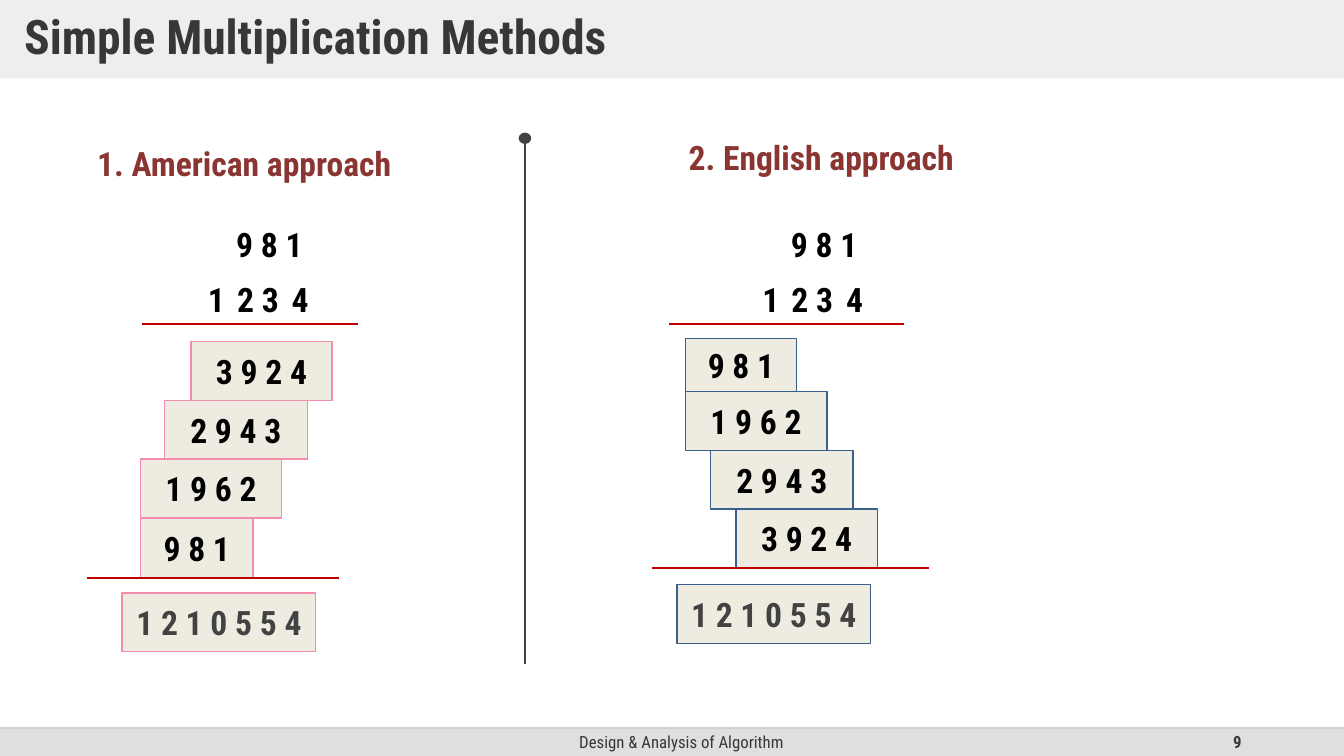
from lxml import etree
from pptx import Presentation
from pptx.dml.color import RGBColor
from pptx.enum import shapes, text
from pptx.oxml import ns
from pptx.util import Cm, Pt

FONT = "Roboto Condensed"
BLACK = RGBColor(0x00, 0x00, 0x00)
DARK = RGBColor(0x37, 0x37, 0x37)
GREY = RGBColor(0x42, 0x42, 0x42)
BAND = RGBColor(0xDF, 0xDF, 0xDF)
EDGE = RGBColor(0xBF, 0xBF, 0xBF)
CREAM = RGBColor(0xEE, 0xEC, 0xE1)
BROWN = RGBColor(0x8A, 0x35, 0x31)
RED = RGBColor(0xC0, 0x00, 0x00)
PINK = RGBColor(0xF4, 0x8C, 0xAF)
BLUE = RGBColor(0x3A, 0x5F, 0x8C)
WIDTH, HEIGHT = 33.87, 19.05

deck = Presentation()
deck.slide_width, deck.slide_height = Cm(WIDTH), Cm(HEIGHT)
page = deck.slides.add_slide(deck.slide_layouts[6])


def add_box(words, left, top, width, height, kind=None, fill=None, line=None,
            size=24, color=BLACK, bold=True, align=text.PP_ALIGN.CENTER,
            anchor=text.MSO_ANCHOR.MIDDLE, spacing=None, alpha=None,
            inset=(0.25, 0.13, 0.25, 0.13), parent=page.shapes):
    """Add a text box, or a filled preset shape when a kind is given."""
    place = Cm(left), Cm(top), Cm(width), Cm(height)
    if kind is None:
        box = parent.add_textbox(*place)
    else:
        box = parent.add_shape(kind, *place)
        box.shadow.inherit = False
        box.fill.solid()
        box.fill.fore_color.rgb = fill
        if line is None:
            box.line.fill.background()
        else:
            box.line.color.rgb = line
            box.line.width = Pt(1)
    if alpha:
        tint = box.fill._xPr.find(".//" + ns.qn("a:srgbClr"))
        etree.SubElement(tint, ns.qn("a:alpha"), val=str(alpha * 1000))
    if words:
        frame = box.text_frame
        frame.word_wrap = True
        frame.vertical_anchor = anchor
        (frame.margin_left, frame.margin_top,
         frame.margin_right, frame.margin_bottom) = [Cm(value) for value in inset]
        para = frame.paragraphs[0]
        para.alignment = align
        if spacing:
            para.line_spacing = spacing
        span = para.add_run()
        span.text = words
        span.font.name, span.font.size, span.font.bold = FONT, Pt(size), bold
        span.font.color.rgb = color
    return box


def add_line(start, end, color, weight=1.5, alpha=None, parent=page.shapes):
    line = parent.add_connector(shapes.MSO_CONNECTOR.STRAIGHT,
                                *[Cm(value) for value in (*start, *end)])
    line.line.color.rgb = color
    line.line.width = Pt(weight)
    properties = line._element.spPr
    etree.SubElement(properties, ns.qn("a:effectLst"))
    if alpha:
        tint = properties.find(".//" + ns.qn("a:srgbClr"))
        etree.SubElement(tint, ns.qn("a:alpha"), val=str(alpha * 1000))


# Footer
FOOT_HEIGHT = 0.71
FOOT_TOP = HEIGHT - FOOT_HEIGHT
footer = add_box("", 0, FOOT_TOP, WIDTH, FOOT_HEIGHT,
                 kind=shapes.MSO_SHAPE.ROUNDED_RECTANGLE, fill=BAND)
footer.adjustments[0] = 0
add_box("Design & Analysis of Algorithm", 11.23, FOOT_TOP, 11.89, FOOT_HEIGHT,
        size=12, color=DARK, bold=False)
add_box("9", 23.92, FOOT_TOP, 7.62, FOOT_HEIGHT, size=12, color=DARK,
        align=text.PP_ALIGN.RIGHT)
add_line((0, FOOT_TOP), (WIDTH, FOOT_TOP), EDGE, weight=1, alpha=70)

# Title band
add_box("Simple Multiplication Methods", 0, 0, WIDTH, 1.98,
        kind=shapes.MSO_SHAPE.RECTANGLE, fill=BAND, alpha=50, size=34, color=DARK,
        align=text.PP_ALIGN.LEFT, spacing=0.9, inset=(0.61, 0.3, 0.61, 0.3))

# Headings
add_box("1. American approach", 1.61, 3.33, 9.09, 1.78, color=BROWN,
        anchor=text.MSO_ANCHOR.TOP, spacing=1.14)
add_box("2. English approach", 15.83, 3.33, 9.73, 1.78, color=BROWN,
        anchor=text.MSO_ANCHOR.TOP)

# Each method: partial products are (digits, left, width, height), stacked downwards
methods = [
    dict(factor=5.37, digits=5.0, edge=PINK, top=8.61,
         products=[("3 9 2 4", 4.81, 3.56, 1.48), ("2 9 4 3", 4.14, 3.61, 1.48),
                   ("1 9 6 2", 3.54, 3.56, 1.48), ("9 8 1", 3.54, 2.84, 1.52)],
         result=(3.08, 14.94), rules=[(3.58, 9.02, 8.16), (2.19, 8.54, 14.56)]),
    dict(factor=19.35, digits=18.97, edge=BLUE, top=8.53,
         products=[("9 8 1", 17.27, 2.81, 1.34), ("1 9 6 2", 17.27, 3.57, 1.48),
                   ("2 9 4 3", 17.91, 3.59, 1.48), ("3 9 2 4", 18.55, 3.56, 1.48)],
         result=(17.06, 14.73), rules=[(16.86, 22.78, 8.16), (16.43, 23.42, 14.31)]),
]
multiplier = [("4", 2.11, 0.71), ("3", 1.32, 0.79), ("2", 0.71, 0.76), ("1", 0, 0.71)]

for method in methods:
    add_box("9 8 1", method["factor"], 5.41, 2.84, 1.47)
    framed = dict(kind=shapes.MSO_SHAPE.RECTANGLE, fill=CREAM, line=method["edge"])
    top = method["top"]
    for digits, left, width, height in method["products"]:
        add_box(digits, left, top, width, height, **framed)
        top += height
    add_box("1 2 1 0 5 5 4", *method["result"], 4.88, 1.48, color=GREY, **framed)
    for digit, offset, width in multiplier:
        add_box(digit, method["digits"] + offset, 6.91, width, 1.27,
                inset=(0.2, 0, 0, 0))
    for left, right, level in method["rules"]:
        add_line((left, level), (right, level), RED)

# Divider with a dot on top
divider = page.shapes.add_group_shape().shapes
add_line((13.23, 3.48), (13.23, 16.74), GREY, parent=divider)
add_box("", 13.09, 3.36, 0.28, 0.25, kind=shapes.MSO_SHAPE.OVAL, fill=GREY, line=GREY,
        parent=divider)

deck.save("out.pptx")
